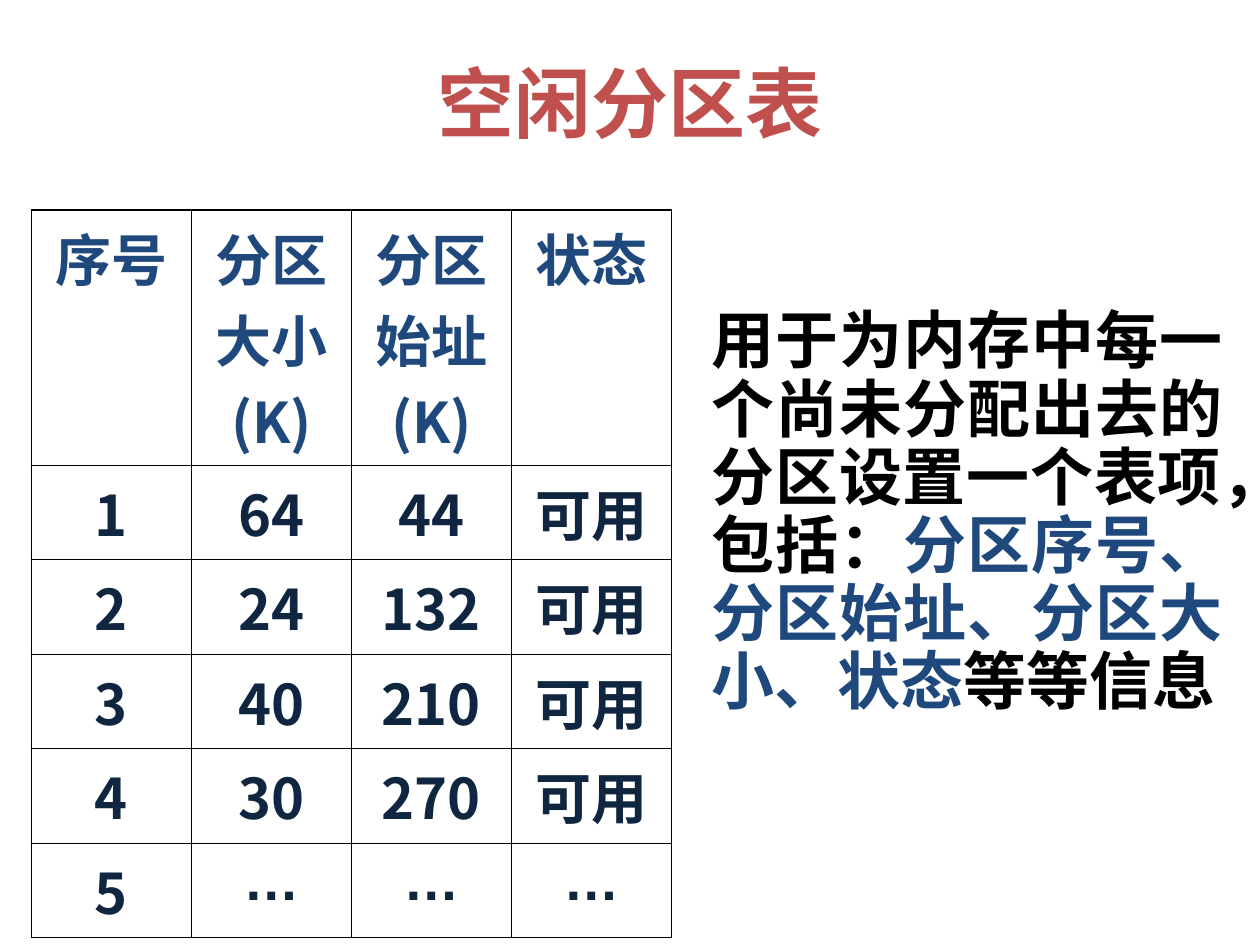
from dataclasses import dataclass

from lxml.etree import SubElement
from pptx import Presentation
from pptx.dml.color import RGBColor
from pptx.enum.text import MSO_ANCHOR, PP_ALIGN
from pptx.oxml.ns import qn
from pptx.slide import Slide
from pptx.table import _Cell
from pptx.text.text import _Paragraph
from pptx.util import Inches, Pt

RED = RGBColor(0xC0, 0x50, 0x4D)
BLUE = RGBColor(0x1F, 0x49, 0x7D)
NAVY = RGBColor(0x10, 0x25, 0x3F)
BLACK = RGBColor(0, 0, 0)
WIDE, HIGH = Inches(10), Inches(7.5)
SANS = "Noto Sans CJK JP"
THIN, THICK = Pt(0.45), Pt(1.08)
COLS = [0.127] * 4
ROWS = [0.27] + [0.1] * 5
DATA = [
    ("序号", "分区大小(K)", "分区始址(K)", "状态"),
    ("1", "64", "44", "可用"),
    ("2", "24", "132", "可用"),
    ("3", "40", "210", "可用"),
    ("4", "30", "270", "可用"),
    ("5", "…", "…", "…"),
]


@dataclass(frozen=True)
class Run:
    text: str
    size: int
    face: str
    color: RGBColor


@dataclass(frozen=True)
class Box:
    left: float
    top: float
    width: float
    height: float
    runs: tuple[Run, ...]
    frame: dict
    para: dict

    def place(self) -> tuple[int, ...]:
        """Turn shares of the slide into lengths."""
        return (int(self.left * WIDE), int(self.top * HIGH),
                int(self.width * WIDE), int(self.height * HIGH))


BOXES = [
    Box(0.075, 0.044, 0.85, 0.128, (Run("空闲分区表", 44, SANS, RED),),
        {"vertical_anchor": MSO_ANCHOR.MIDDLE}, {"alignment": PP_ALIGN.CENTER}),
    Box(0.555, 0.321, 0.425, 0.492,
        (Run("用于为内存中每一个尚未分配出去的分区设置一个表项，包括：", 36, "Calibri", BLACK),
         Run("分区序号、分区始址、分区大小、状态", 36, "Calibri", BLUE),
         Run("等等信息", 36, "Calibri", BLACK)),
        {"vertical_anchor": MSO_ANCHOR.TOP},
        {"alignment": PP_ALIGN.JUSTIFY, "line_spacing": 0.9}),
]


def style(item: object, form: dict) -> None:
    """Set each attribute in the format."""
    for name, value in form.items():
        setattr(item, name, value)


def write(para: _Paragraph, runs: tuple[Run, ...], form: dict) -> None:
    """Fill a paragraph with bold runs."""
    style(para, form)
    for item in runs:
        run = para.add_run()
        run.text = item.text
        style(run.font, {"size": Pt(item.size), "name": item.face, "bold": True})
        run.font.color.rgb = item.color
        SubElement(run.font._element, qn("a:ea"), typeface=item.face)


def draw_box(slide: Slide, box: Box) -> None:
    """Add one text box."""
    frame = slide.shapes.add_textbox(*box.place()).text_frame
    style(frame, {"word_wrap": True} | box.frame)
    write(frame.paragraphs[0], box.runs, box.para)


def rule(cell: _Cell, row: int, col: int) -> None:
    """Draw thick outer and thin inner borders, with no fill."""
    props = cell._tc.get_or_add_tcPr()
    outer = {"lnL": col == 0, "lnR": col == len(COLS) - 1,
             "lnT": row == 0, "lnB": row == len(ROWS) - 1}
    for side, edge in outer.items():
        line = SubElement(props, qn(f"a:{side}"), w=str(int(THICK if edge else THIN)))
        fill = SubElement(line, qn("a:solidFill"))
        SubElement(fill, qn("a:srgbClr"), val=str(BLACK))
    cell.fill.background()


def draw_table(slide: Slide) -> None:
    """Add the table of free partitions."""
    table = slide.shapes.add_table(
        len(ROWS), len(COLS), int(0.025 * WIDE), int(0.222 * HIGH),
        int(sum(COLS) * WIDE), int(sum(ROWS) * HIGH)).table
    style(table, {"first_row": False, "horz_banding": False})
    for col, share in zip(table.columns, COLS):
        col.width = int(share * WIDE)
    for row, share in zip(table.rows, ROWS):
        row.height = int(share * HIGH)
    for i, texts in enumerate(DATA):
        for j, text in enumerate(texts):
            cell = table.cell(i, j)
            face = "Arial" if text == "…" else SANS
            run = Run(text, 32, face, NAVY if i else BLUE)
            write(cell.text_frame.paragraphs[0], (run,),
                  {"alignment": PP_ALIGN.CENTER, "space_before": Pt(8)})
            rule(cell, i, j)


def main() -> None:
    """Build and save the slide."""
    deck = Presentation()
    style(deck, {"slide_width": WIDE, "slide_height": HIGH})
    slide = deck.slides.add_slide(deck.slide_layouts[6])
    for box in BOXES:
        draw_box(slide, box)
    draw_table(slide)
    deck.save("out.pptx")


if __name__ == "__main__":
    main()
